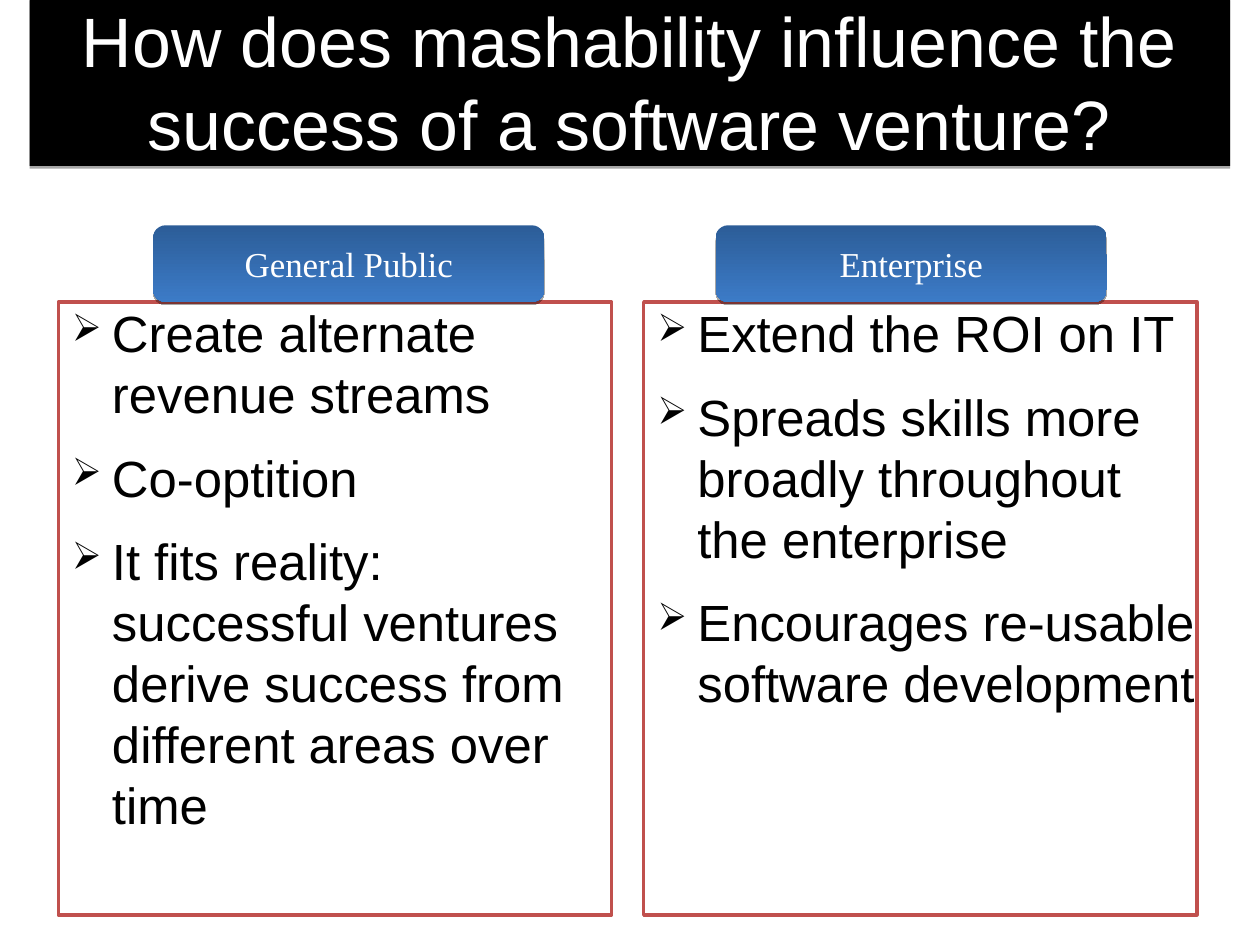
"""Build the slide on how mashability influences software ventures."""
from pptx import Presentation
from pptx import util as u
from pptx.dml.color import RGBColor
from pptx.enum import shapes, text
from pptx.oxml import parse_xml
from pptx.oxml.ns import nsdecls, qn

BLACK = RGBColor(0x00, 0x00, 0x00)
WHITE = RGBColor(0xFF, 0xFF, 0xFF)
RED = RGBColor(0xC0, 0x50, 0x4D)
DARK_BLUE = RGBColor(0x2C, 0x5D, 0x98)
LIGHT_BLUE = RGBColor(0x3C, 0x7B, 0xC7)

COLUMNS = [
    (0.51, 1.34, "General Public", [
        "Create alternate revenue streams",
        "Co-optition",
        "It fits reality: successful ventures derive success from different areas over time",
    ]),
    (5.63, 6.26, "Enterprise", [
        "Extend the ROI on IT",
        "Spreads skills more broadly throughout the enterprise",
        "Encourages re-usable software development",
    ]),
]
BULLET = [
    '<a:buClr {}><a:srgbClr val="000000"/></a:buClr>',
    '<a:buSzPct {} val="75000"/>',
    '<a:buChar {} char="➢"/>',
]
SHADOW = ('<a:outerShdw {} blurRad="0" dist="22860" dir="5400000">'
          '<a:srgbClr val="000000"><a:alpha val="35000"/></a:srgbClr></a:outerShdw>')


def add_box(preset, left, top, width, height, shadow):
    """Add a borderless box, with a soft drop shadow if asked."""
    box = page.shapes.add_shape(preset, u.Inches(left), u.Inches(top),
                                u.Inches(width), u.Inches(height))
    box.line.fill.background()
    box.shadow.inherit = False
    if shadow:
        effects = box._element.spPr.find(qn("a:effectLst"))
        effects.append(parse_xml(SHADOW.format(nsdecls("a"))))
    frame = box.text_frame
    frame.word_wrap = True
    frame.margin_left = frame.margin_right = 0
    frame.margin_top = frame.margin_bottom = 0
    return box


def style_text(para, size, font, color, align):
    """Format a paragraph and its run."""
    para.alignment = align
    for span in para.runs:
        span.font.size = u.Pt(size)
        span.font.name = font
        span.font.color.rgb = color


deck = Presentation()
deck.slide_width = u.Inches(11.02)
deck.slide_height = u.Inches(8.27)
page = deck.slides.add_slide(deck.slide_layouts[6])

title = add_box(shapes.MSO_SHAPE.RECTANGLE, 0.26, -0.02, 10.5, 1.47, True)
title.fill.solid()
title.fill.fore_color.rgb = BLACK
title.text_frame.vertical_anchor = text.MSO_ANCHOR.MIDDLE
title.text_frame.text = "How does mashability influence the success of a software venture?"
title_para = title.text_frame.paragraphs[0]
title_para.line_spacing = u.Pt(52.3)
style_text(title_para, 44, "Arial", WHITE, text.PP_ALIGN.CENTER)

for panel_left, tab_left, heading, points in COLUMNS:
    panel = add_box(shapes.MSO_SHAPE.RECTANGLE, panel_left, 2.64, 4.84, 5.36, False)
    panel.fill.solid()
    panel.fill.fore_color.rgb = WHITE
    panel.line.color.rgb = RED
    panel.line.width = u.Pt(2)
    panel.text_frame.vertical_anchor = text.MSO_ANCHOR.TOP
    panel.text_frame.text = "\n".join(points)
    for para in panel.text_frame.paragraphs:
        style_text(para, 32, "Arial", BLACK, text.PP_ALIGN.LEFT)
        para.line_spacing = u.Pt(38.4)
        para.space_after = u.Pt(14.1)
        properties = para._p.get_or_add_pPr()
        properties.set("marL", str(u.Inches(0.47)))
        properties.set("indent", str(u.Inches(-0.35)))
        for part in BULLET:
            properties.append(parse_xml(part.format(nsdecls("a"))))

    tab = add_box(shapes.MSO_SHAPE.ROUNDED_RECTANGLE, tab_left, 1.97, 3.42, 0.67, True)
    tab.adjustments[0] = 0.16
    tab.fill.gradient()
    tab.fill.gradient_angle = 270
    for stop, color in zip(tab.fill.gradient_stops, (DARK_BLUE, LIGHT_BLUE)):
        stop.color.rgb = color
    tab.text_frame.vertical_anchor = text.MSO_ANCHOR.MIDDLE
    tab.text_frame.text = heading
    style_text(tab.text_frame.paragraphs[0], 22, "Times New Roman", WHITE, text.PP_ALIGN.CENTER)

deck.save("out.pptx")
